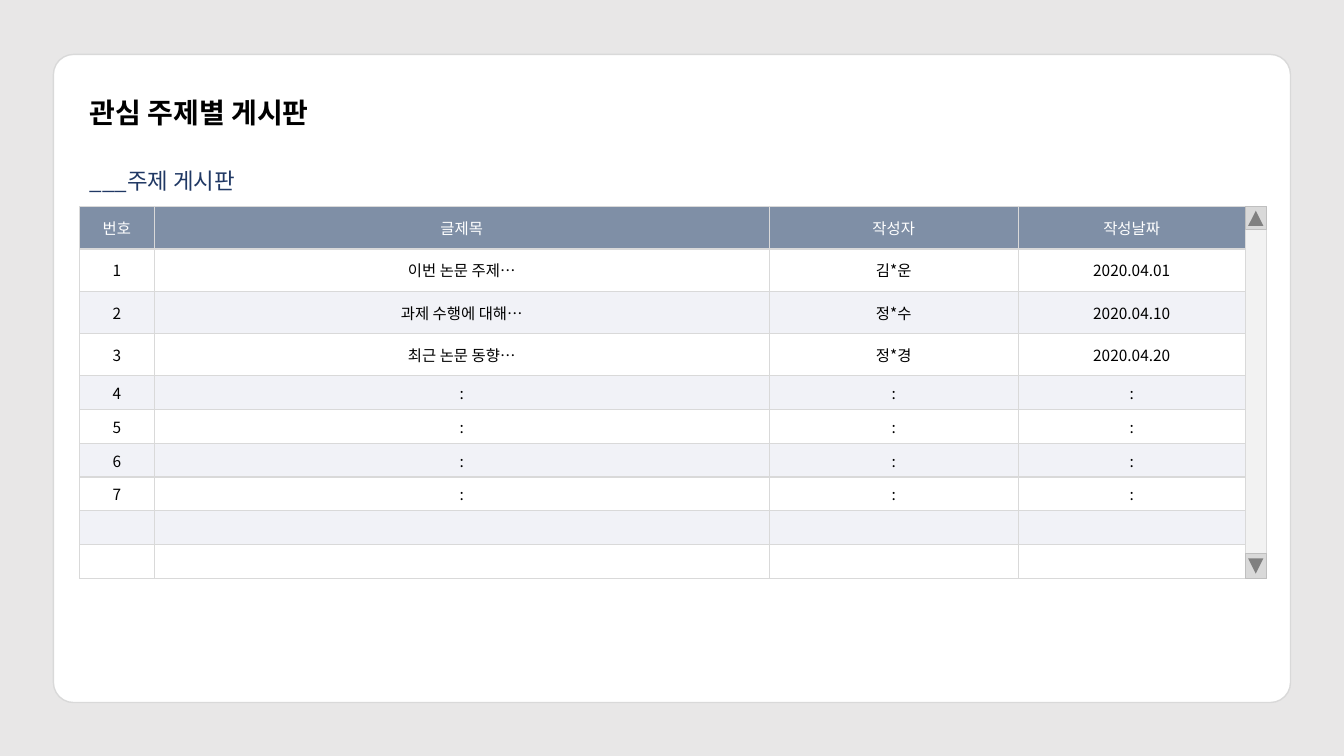
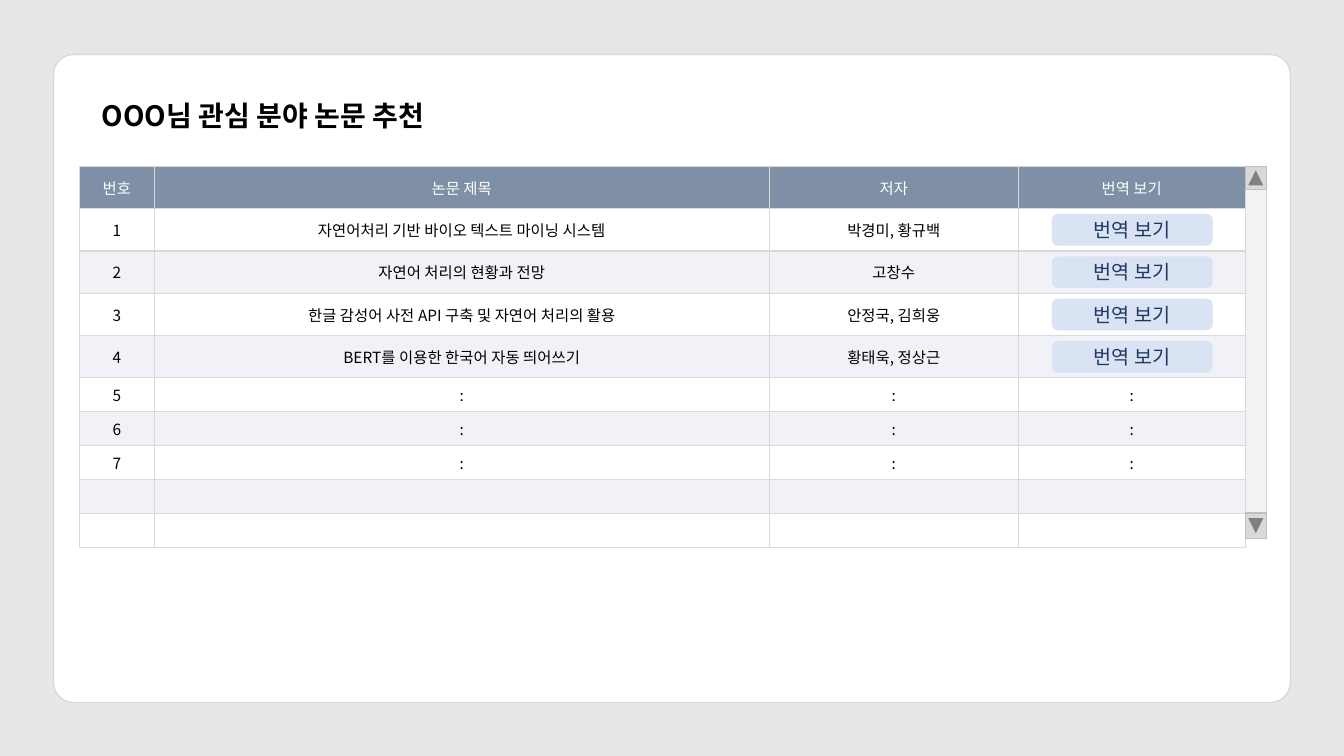
from dataclasses import dataclass
from itertools import product

from lxml.etree import SubElement
from pptx import Presentation
from pptx.dml.color import RGBColor
from pptx.enum.shapes import MSO_SHAPE
from pptx.enum.text import MSO_ANCHOR, MSO_AUTO_SIZE, PP_ALIGN
from pptx.oxml.ns import qn
from pptx.util import Inches, Pt


@dataclass(frozen=True)
class Theme:
    font: str = "Noto Sans CJK KR"
    # Colours
    backdrop: str = "E8E7E7"
    white: str = "FFFFFF"
    black: str = "000000"
    navy: str = "203864"
    header: str = "7F8FA6"
    band: str = "F1F2F7"
    border: str = "D9D9D9"
    track: str = "F2F2F2"
    knob_line: str = "BFBFBF"
    arrow: str = "808080"
    button: str = "DAE3F3"
    # Type sizes and line width
    title_size: int = 20
    subtitle_size: int = 16
    button_size: int = 14
    cell_size: int = 11
    line_width: int = 1


# Board geometry in inches
BOARD_LEFT = 0.79
COLUMNS = (0.74, 6.1, 2.47, 2.25)
TALL_ROW = 0.42
BAR_WIDTH, BAR_HEIGHT = 0.21, 3.69
ARROW = 0.15
BUTTON_WIDTH, BUTTON_HEIGHT = 1.58, 0.3


def write(frame, text, *, font, size, color, bold=False, align=PP_ALIGN.LEFT):
    """Put one formatted paragraph into a text frame."""
    paragraph = frame.paragraphs[0]
    paragraph.alignment = align
    if not text:
        end = SubElement(paragraph._p, qn("a:endParaRPr"))
        end.set("sz", str(size * 100))
        return
    run = paragraph.add_run()
    run.text = text
    run.font.size = Pt(size)
    run.font.bold = bold
    run.font.color.rgb = RGBColor.from_string(color)
    run.font.name = font
    SubElement(run.font._element, qn("a:ea")).set("typeface", font)


class Deck:
    def __init__(self, theme):
        self.theme = theme
        self.file = Presentation()
        self.file.slide_width = Inches(13.33)
        self.file.slide_height = Inches(7.5)
        self.slide = None

    def new_slide(self):
        self.slide = self.file.slides.add_slide(self.file.slide_layouts[6])
        backdrop = self.slide.background.fill
        backdrop.solid()
        backdrop.fore_color.rgb = RGBColor.from_string(self.theme.backdrop)
        card = self.shape(MSO_SHAPE.ROUNDED_RECTANGLE, 0.53, 0.54, 12.27, 6.43,
                          self.theme.white, self.theme.border)
        card.adjustments[0] = 0.031

    def shape(self, preset, left, top, width, height, fill, line=None):
        shape = self.slide.shapes.add_shape(
            preset, Inches(left), Inches(top), Inches(width), Inches(height))
        shape.shadow.inherit = False
        shape.fill.solid()
        shape.fill.fore_color.rgb = RGBColor.from_string(fill)
        if line:
            shape.line.color.rgb = RGBColor.from_string(line)
            shape.line.width = Pt(self.theme.line_width)
        else:
            shape.line.fill.background()
        return shape

    def label(self, text, left, top, width, height, **style):
        box = self.slide.shapes.add_textbox(
            Inches(left), Inches(top), Inches(width), Inches(height))
        box.text_frame.word_wrap = True
        box.text_frame.auto_size = MSO_AUTO_SIZE.SHAPE_TO_FIT_TEXT
        write(box.text_frame, text, font=self.theme.font, **style)

    def title(self, text, left, top, width):
        self.label(text, left, top, width, 0.44, size=self.theme.title_size,
                   color=self.theme.black, bold=True)

    def subtitle(self, text, left, top, width):
        self.label(text, left, top, width, 0.37, size=self.theme.subtitle_size,
                   color=self.theme.navy)

    def cell(self, cell, text, fill, color):
        cell.vertical_anchor = MSO_ANCHOR.MIDDLE
        write(cell.text_frame, text, font=self.theme.font,
              size=self.theme.cell_size, color=color, align=PP_ALIGN.CENTER)
        # Borders come before the fill in the cell properties
        properties = cell._tc.get_or_add_tcPr()
        for side in ("lnL", "lnR", "lnT", "lnB"):
            edge = SubElement(properties, qn(f"a:{side}"))
            edge.set("w", str(Pt(self.theme.line_width)))
            paint = SubElement(edge, qn("a:solidFill"))
            SubElement(paint, qn("a:srgbClr")).set("val", self.theme.border)
        cell.fill.solid()
        cell.fill.fore_color.rgb = RGBColor.from_string(fill)

    def board(self, rows, top, height, tall_rows):
        """Banded table: tall rows first, the rest share what remains."""
        grid = self.slide.shapes.add_table(
            len(rows), len(COLUMNS), Inches(BOARD_LEFT), Inches(top),
            Inches(sum(COLUMNS)), Inches(height)).table
        grid.first_row = grid.horz_banding = False
        for column, width in zip(grid.columns, COLUMNS):
            column.width = Inches(width)
        short_row = (height - tall_rows * TALL_ROW) / (len(rows) - tall_rows)
        for i, row in enumerate(grid.rows):
            row.height = Inches(TALL_ROW if i < tall_rows else short_row)
        theme = self.theme
        for i, j in product(range(len(rows)), range(len(COLUMNS))):
            fill = theme.white if i % 2 else theme.band
            if i == 0:
                fill = theme.header
            self.cell(grid.cell(i, j), rows[i][j], fill,
                      theme.black if i else theme.white)
        self.scrollbar(top)

    def scrollbar(self, top):
        theme = self.theme
        left = BOARD_LEFT + sum(COLUMNS)
        self.shape(MSO_SHAPE.RECTANGLE, left, top, BAR_WIDTH, BAR_HEIGHT,
                   theme.track, theme.border)
        up, down = 0.23, 0.25
        for knob_top, height, turn in ((top, up, 180),
                                       (top + BAR_HEIGHT - down, down, 0)):
            self.shape(MSO_SHAPE.RECTANGLE, left, knob_top, BAR_WIDTH, height,
                       theme.border, theme.knob_line)
            arrow = self.shape(MSO_SHAPE.FLOWCHART_MERGE,
                               left + (BAR_WIDTH - ARROW) / 2,
                               knob_top + (height - ARROW) / 2,
                               ARROW, ARROW, theme.arrow)
            arrow.rotation = turn

    def row_button(self, text, board_top, row):
        """Button centred in the height of a tall row."""
        top = board_top + row * TALL_ROW + (TALL_ROW - BUTTON_HEIGHT) / 2
        button = self.shape(MSO_SHAPE.ROUNDED_RECTANGLE, 10.44, top,
                            BUTTON_WIDTH, BUTTON_HEIGHT,
                            self.theme.button, self.theme.button)
        button.text_frame.vertical_anchor = MSO_ANCHOR.MIDDLE
        write(button.text_frame, text, font=self.theme.font,
              size=self.theme.button_size, color=self.theme.navy,
              align=PP_ALIGN.CENTER)


def board_rows(header, posts):
    """Number the posts, continue with colons to 7, end with two blank rows."""
    numbered = [(str(n), *post) for n, post in enumerate(posts, 1)]
    pending = [(str(n), ":", ":", ":") for n in range(len(posts) + 1, 8)]
    return [header, *numbered, *pending, *[("",) * len(COLUMNS)] * 2]


def topic_board(deck):
    posts = [
        ("이번 논문 주제…", "김*운", "2020.04.01"),
        ("과제 수행에 대해…", "정*수", "2020.04.10"),
        ("최근 논문 동향…", "정*경", "2020.04.20"),
    ]
    deck.new_slide()
    deck.title("관심 주제별 게시판", BOARD_LEFT, 0.9, 3.29)
    deck.subtitle("___주제 게시판", BOARD_LEFT, 1.61, 3.29)
    deck.board(board_rows(("번호", "글제목", "작성자", "작성날짜"), posts),
               top=2.05, height=3.69, tall_rows=len(posts) + 1)


def paper_board(deck):
    papers = [
        ("자연어처리 기반 바이오 텍스트 마이닝 시스템", "박경미, 황규백", ""),
        ("자연어 처리의 현황과 전망", "고창수", ""),
        ("한글 감성어 사전 API 구축 및 자연어 처리의 활용", "안정국, 김희웅", ""),
        ("BERT를 이용한 한국어 자동 띄어쓰기", "황태욱, 정상근", ""),
    ]
    action = "번역 보기"
    top = 1.65
    deck.new_slide()
    deck.title("OOO님 관심 분야 논문 추천", 0.91, 0.93, 3.83)
    deck.board(board_rows(("번호", "논문 제목", "저자", action), papers),
               top=top, height=3.78, tall_rows=len(papers) + 1)
    for row in range(1, len(papers) + 1):
        deck.row_button(action, top, row)


def main():
    deck = Deck(Theme())
    topic_board(deck)
    paper_board(deck)
    deck.file.save("out.pptx")


if __name__ == "__main__":
    main()
